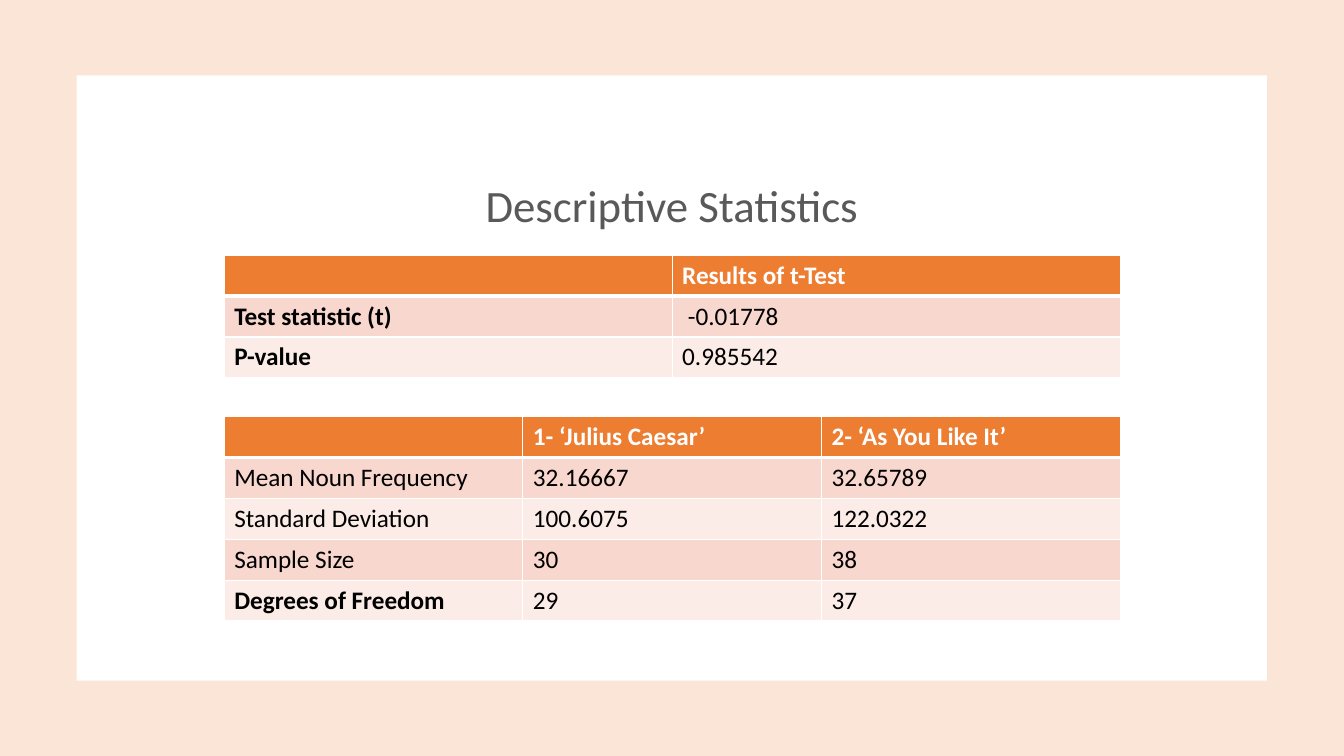
import pptx
import pptx.util
import pptx.dml.color
import pptx.enum.shapes
import pptx.enum.text
import pptx.oxml
import pptx.oxml.ns

Cm, Pt = pptx.util.Cm, pptx.util.Pt


def paint(part, hue):
    """Give a fill or a font a solid colour."""
    if hasattr(part, "solid"):
        part.solid()
        part.fore_color.rgb = pptx.dml.color.RGBColor.from_string(hue)
    else:
        part.color.rgb = pptx.dml.color.RGBColor.from_string(hue)


def write(para, text, size, hue, bold=False):
    run = para.add_run()
    run.text = text
    run.font.name = "Calibri"
    run.font.size = Pt(size)
    run.font.bold = bold
    paint(run.font, hue)


deck = pptx.Presentation()
deck.slide_width, deck.slide_height = Cm(33.87), Cm(19.05)
slide = deck.slides.add_slide(deck.slide_layouts[5])
shapes = slide.shapes

# Peach frame and white panel
for left, top, width, height, hue in [
    (0, 0, 33.87, 19.05, "FBE5D6"),
    (1.93, 1.9, 30, 15.25, "FFFFFF"),
]:
    panel = shapes.add_shape(
        pptx.enum.shapes.MSO_SHAPE.RECTANGLE,
        Cm(left), Cm(top), Cm(width), Cm(height))
    panel.shadow.inherit = False
    paint(panel.fill, hue)
    panel.line.fill.background()

# Title, brought in front of the panels
title = shapes.title
title.left, title.top = Cm(4.49), Cm(3.5)
title.width, title.height = Cm(24.89), Cm(2.47)
frame = title.text_frame
frame.word_wrap = True
frame.auto_size = pptx.enum.text.MSO_AUTO_SIZE.NONE
frame.vertical_anchor = pptx.enum.text.MSO_ANCHOR.BOTTOM
para = frame.paragraphs[0]
para.alignment = pptx.enum.text.PP_ALIGN.CENTER
para.line_spacing = 0.9
write(para, "Descriptive Statistics", 32, "595959")
panel._element.addnext(title._element)

# Tables: top edge and rows
plays = [
    ["", "1- ‘Julius Caesar’", "2- ‘As You Like It’"],
    ["Mean Noun Frequency", "32.16667", "32.65789"],
    ["Standard Deviation", "100.6075", "122.0322"],
    ["Sample Size", "30", "38"],
    ["Degrees of Freedom", "29", "37"],
]
test = [
    ["", "Results of t-Test"],
    ["Test statistic (t)", " -0.01778"],
    ["P-value", "0.985542"],
]
strong = ["Test statistic (t)", "P-value", "Degrees of Freedom"]
wide, high = 22.58, 1.03

for top, rows in [(10.5, plays), (6.43, test)]:
    count = len(rows[0])
    grid = shapes.add_table(
        len(rows), count, Cm(5.65), Cm(top),
        Cm(wide), Cm(high * len(rows))).table
    for col in grid.columns:
        col.width = Cm(wide / count)
    for i, row in enumerate(rows):
        grid.rows[i].height = Cm(high)
        head = i == 0
        for j, text in enumerate(row):
            cell = grid.cell(i, j)

            # White borders, thick below the header
            props = cell._tc.get_or_add_tcPr()
            for side in "LRTB":
                thick = (side == "B" and i == 0) or (side == "T" and i == 1)
                props.append(pptx.oxml.parse_xml(
                    f'<a:ln{side} {pptx.oxml.ns.nsdecls("a")} '
                    f'w="{Pt(3 if thick else 1)}"><a:solidFill>'
                    f'<a:srgbClr val="FFFFFF"/></a:solidFill></a:ln{side}>'))

            # Banded fill and text
            band = "F8D7CE" if i % 2 else "FCECE8"
            paint(cell.fill, "ED7D31" if head else band)
            if text:
                write(cell.text_frame.paragraphs[0], text, 18,
                      "FFFFFF" if head else "000000",
                      head or text in strong)

deck.save("out.pptx")
